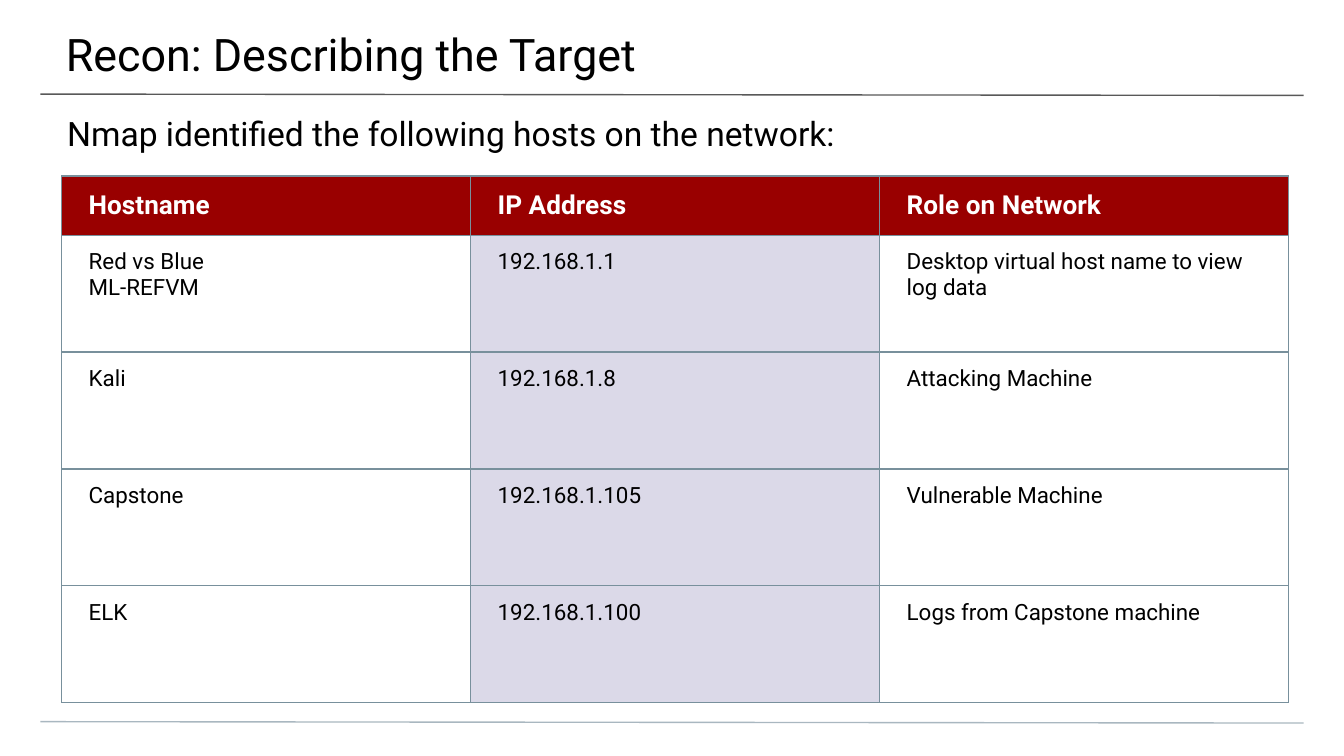
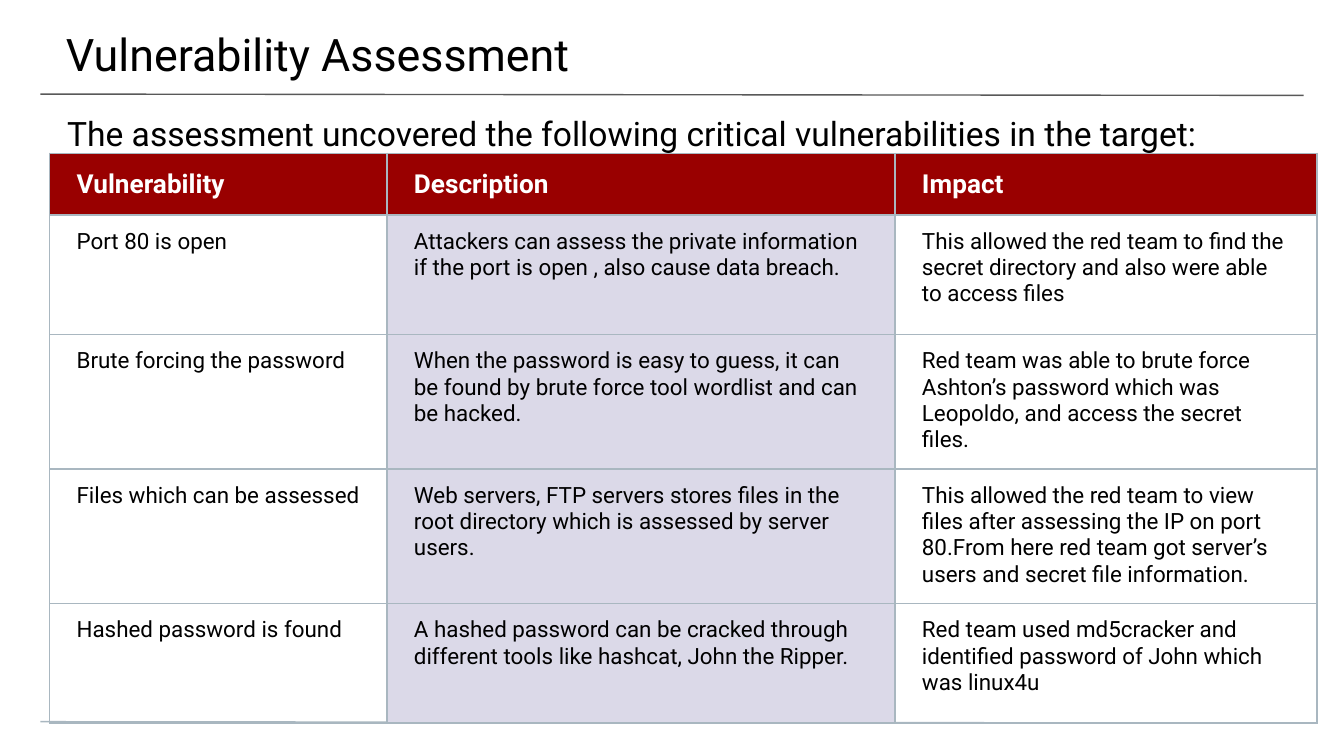
import pptx
import pptx.dml.color
import pptx.enum.shapes
import pptx.enum.text
import pptx.oxml.ns
import pptx.util
from lxml import etree

Inches = pptx.util.Inches
Pt = pptx.util.Pt
Anchor = pptx.enum.text.MSO_ANCHOR

FONT = "Roboto"
BLACK, WHITE = "000000", "FFFFFF"
HEADER_RED, MIDDLE_LILAC = "990000", "DBD9E8"
RULE_GREY, PALE_BLUE, SLATE = "595959", "A9B7C0", "78909C"
LINE_WIDTH = 0.75

TITLE = {"size": Pt(24), "bold": False}
SUBTITLE = {"size": Pt(18), "bold": False}
HEADER = {"size": Pt(14), "bold": True}
BODY = {"size": Pt(12), "bold": False}

HOSTS = [
    ["Hostname", "IP Address", "Role on Network"],
    ["Red vs Blue\nML-REFVM", "192.168.1.1", "Desktop virtual host name to view log data"],
    ["Kali", "192.168.1.8", "Attacking Machine"],
    ["Capstone", "192.168.1.105", "Vulnerable Machine"],
    ["ELK", "192.168.1.100", "Logs from Capstone machine"],
]

VULNERABILITIES = [
    ["Vulnerability", "Description", "Impact"],
    ["Port 80 is open",
     "Attackers can assess the private information if the port is open , also cause data breach.",
     "This allowed the red team to find the secret directory and also were able to access files"],
    ["Brute forcing the password",
     "When the password is easy to guess, it can be found by brute force tool wordlist and can be hacked.",
     "Red team was able to brute force Ashton’s password which was Leopoldo, and access the secret files."],
    ["Files which can be assessed",
     "Web servers, FTP servers stores files in the root directory which is assessed by server users.",
     "This allowed the red team to view files after assessing the IP on port 80."
     "From here red team got server’s users and secret file information."],
    ["Hashed password is found",
     "A hashed password can be cracked through different tools like hashcat, John the Ripper.",
     "Red team used md5cracker and identified password of John which was linux4u"],
]


def paint(target, colour):
    """Give a colour format its hex colour."""
    target.rgb = pptx.dml.color.RGBColor.from_string(colour)


def set_values(target, values):
    """Set each named attribute of an object."""
    for name, value in values.items():
        setattr(target, name, value)


def margins(left, top, right, bottom):
    """Return inner margins as format values."""
    return {"margin_left": Inches(left), "margin_top": Inches(top),
            "margin_right": Inches(right), "margin_bottom": Inches(bottom)}


def write(frame, text, style, colour=BLACK):
    """Write each line of the text as a styled paragraph."""
    for index, line in enumerate(text.split("\n")):
        para = frame.add_paragraph() if index else frame.paragraphs[0]
        span = para.add_run()
        span.text = line
        set_values(span.font, {"name": FONT, **style})
        paint(span.font.color, colour)


def add_text(page, place, text, style, insets):
    """Add a wrapping text box."""
    box = page.shapes.add_textbox(*map(Inches, place))
    frame = box.text_frame
    set_values(frame, {"word_wrap": True, "vertical_anchor": Anchor.TOP, **margins(*insets)})
    write(frame, text, style)


def add_rule(page, top, colour):
    """Add a thin rule across the page."""
    rule = page.shapes.add_connector(
        pptx.enum.shapes.MSO_CONNECTOR.STRAIGHT,
        Inches(0.3), Inches(top), Inches(9.7), Inches(top + 0.01))
    rule.line.width = Pt(LINE_WIDTH)
    paint(rule.line.color, colour)
    etree.SubElement(rule._element.spPr, pptx.oxml.ns.qn("a:effectLst"))


def add_borders(cell, colour):
    """Draw the four borders of a table cell."""
    properties = cell._tc.get_or_add_tcPr()
    for side in ("lnL", "lnR", "lnT", "lnB"):
        border = etree.SubElement(properties, pptx.oxml.ns.qn(f"a:{side}"), w=str(Pt(LINE_WIDTH)))
        fill = etree.SubElement(border, pptx.oxml.ns.qn("a:solidFill"))
        etree.SubElement(fill, pptx.oxml.ns.qn("a:srgbClr"), val=colour)


def format_cell(cell, text, is_header, fill, border):
    """Fill in one table cell."""
    set_values(cell, {"vertical_anchor": Anchor.MIDDLE if is_header else Anchor.TOP,
                      **margins(0.2, 0.1, 0.2, 0.1)})
    add_borders(cell, border)
    if fill:
        cell.fill.solid()
        paint(cell.fill.fore_color, fill)
    else:
        cell.fill.background()
    write(cell.text_frame, text, HEADER if is_header else BODY, WHITE if is_header else BLACK)


def add_grid(page, place, widths, heights, rows, border):
    """Add a table with a red header and a lilac middle column."""
    frame = page.shapes.add_table(len(rows), len(widths), *map(Inches, place))
    table = frame.table
    set_values(table, {"first_row": False, "horz_banding": False})
    for column, width in zip(table.columns, widths):
        column.width = Inches(width)
    for row, height in zip(table.rows, heights):
        row.height = Inches(height)
    set_values(frame, {"width": Inches(place[2]), "height": Inches(place[3])})
    for row_index, texts in enumerate(rows):
        is_header = row_index == 0
        for column_index, text in enumerate(texts):
            fill = HEADER_RED if is_header else MIDDLE_LILAC if column_index == 1 else None
            format_cell(table.cell(row_index, column_index), text, is_header, fill, border)


def add_page(deck, title, subtitle):
    """Add a page with its rules, title and subtitle."""
    page = deck.slides.add_slide(deck.slide_layouts[6])
    add_rule(page, 0.7, RULE_GREY)
    add_rule(page, 5.37, PALE_BLUE)
    add_text(page, (-0.01, 0, 10.03, 0.58), title, TITLE, (0.5, 0.2, 0.3, 0.1))
    add_text(page, (0, 0.74, 10, 0.4), subtitle, SUBTITLE, (0.5, 0.1, 0.5, 0))
    return page


def main():
    """Build and save the deck."""
    deck = pptx.Presentation()
    set_values(deck, {"slide_width": Inches(10), "slide_height": Inches(10 * 9 / 16)})

    page = add_page(deck, "Recon: Describing the Target",
                    "Nmap identified the following hosts on the network:")
    add_grid(page, (0.46, 1.31, 9.13, 3.91), [9.13 / 3] * 3, [0.44] + [0.87] * 4,
             HOSTS, SLATE)

    page = add_page(deck, "Vulnerability Assessment",
                    "The assessment uncovered the following critical vulnerabilities in the target:")
    add_grid(page, (0.37, 1.14, 9.43, 4.25), [2.51, 3.78, 3.14], [0.46, 0.89, 0.85, 0.95, 0.89],
             VULNERABILITIES, PALE_BLUE)

    deck.save("out.pptx")


if __name__ == "__main__":
    main()
